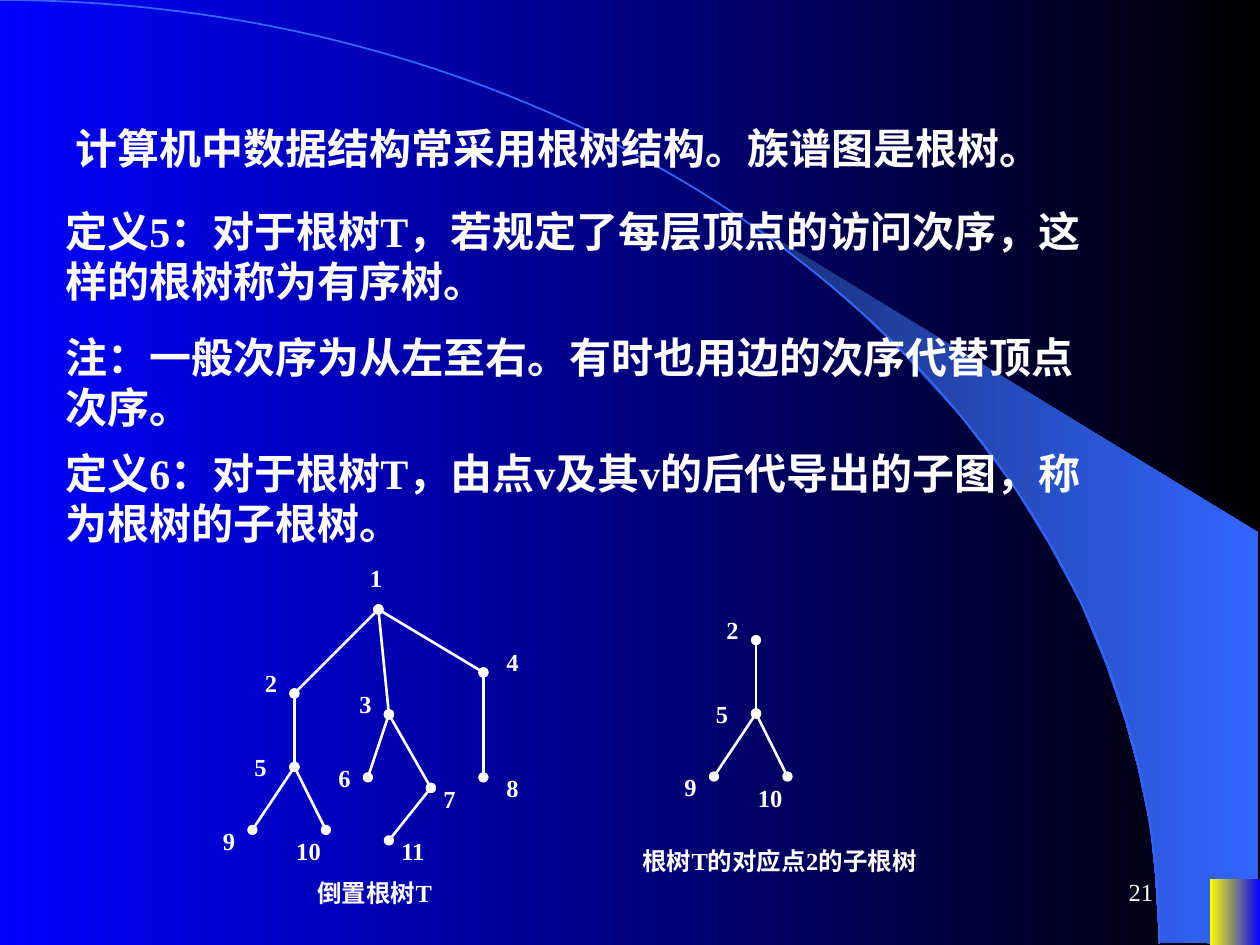
from math import cos, pi, sin

from lxml.etree import SubElement
from pptx import Presentation
from pptx.dml.color import RGBColor
from pptx.enum.shapes import MSO_CONNECTOR as Connector, MSO_SHAPE as Shape
from pptx.enum.text import MSO_ANCHOR as Anchor, MSO_AUTO_SIZE as AutoSize, PP_ALIGN as Align
from pptx.oxml.ns import qn
from pptx.util import Inches, Pt

FONT = "Times New Roman"
WHITE = RGBColor(0xFF, 0xFF, 0xFF)
BLACK = RGBColor(0x00, 0x00, 0x00)
BLUE = RGBColor(0x00, 0x00, 0xFF)
YELLOW = RGBColor(0xFF, 0xFF, 0x00)
SKY = RGBColor(0x33, 0x66, 0xFF)
NAVY = RGBColor(0x18, 0x2F, 0x76)

STATEMENTS = [
    (0.5, 0.92, 0.5, "计算机中数据结构常采用根树结构。族谱图是根树。"),
    (0.42, 1.58, 0.9, "定义5：对于根树T，若规定了每层顶点的访问次序，这样的根树称为有序树。"),
    (0.42, 2.58, 0.9, "注：一般次序为从左至右。有时也用边的次序代替顶点次序。"),
    (0.42, 3.5, 0.9, "定义6：对于根树T，由点v及其v的后代导出的子图，称为根树的子根树。"),
]

# Trees are laid out on a grid of twelfths of an inch.
GRID = Inches(1) / 12
# Vertex: (dot column, dot row, label column, label row)
FULL_TREE = {
    1: (16, 5, 14, 0), 2: (8, 13, 4, 10), 3: (17, 15, 13, 12), 4: (26, 11, 27, 8),
    5: (8, 20, 3, 18), 6: (15, 21, 11, 19), 7: (21, 22, 21, 21), 8: (26, 21, 27, 20),
    9: (4, 26, 0, 25), 10: (11, 26, 7, 26), 11: (17, 27, 17, 26),
}
FULL_EDGES = [(1, 2), (1, 3), (1, 4), (2, 5), (5, 9), (5, 10), (3, 6), (3, 7), (7, 11), (4, 8)]
SUBTREE = {2: (12, 3, 8, 0), 5: (12, 10, 7, 8), 9: (8, 16, 4, 15), 10: (15, 16, 11, 16)}
SUBTREE_EDGES = [(2, 5), (5, 9), (5, 10)]

# Corners of the swoosh, in inches from its top left.
SWOOSH = [
    (3.31, 5.75), (4.1, 5.76), (4.1, 2.5), (0, 0), (0.35, 0.26), (0.64, 0.49),
    (0.96, 0.77), (1.27, 1.07), (1.73, 1.57), (2.14, 2.11), (2.43, 2.58), (2.69, 3.06),
    (2.89, 3.55), (3.04, 3.99), (3.14, 4.36), (3.24, 4.83), (3.28, 5.23),
]


def fill_gradient(fill, start, end):
    fill.gradient()
    fill.gradient_angle = 0
    for stop, color in zip(fill.gradient_stops, (start, end)):
        stop.color.rgb = color


def add_outline(slide, left, top, points, closed):
    """Add a freeform through points given in inches from left and top."""
    corners = [(Inches(x), Inches(y)) for x, y in points]
    builder = slide.shapes.build_freeform(*corners[0])
    builder.add_line_segments(corners[1:], close=closed)
    shape = builder.convert_to_shape(left, top)
    shape.shadow.inherit = False
    return shape


def add_swoosh(slide, left, top):
    swoosh = add_outline(slide, left, top, SWOOSH, closed=True)
    fill_gradient(swoosh.fill, NAVY, SKY)
    swoosh.line.fill.background()


def add_quarter_ellipse(slide, left, top, width, height, steps=90):
    angles = [pi / 2 * step / steps for step in range(steps + 1)]
    points = [(width.inches * sin(a), height.inches * (1 - cos(a))) for a in angles]
    arc = add_outline(slide, left, top, points, closed=False)
    arc.fill.background()
    arc.line.color.rgb = SKY
    arc.line.width = Pt(1)


def add_corner_block(slide, left, top, width, height):
    block = slide.shapes.add_shape(Shape.RECTANGLE, left, top, width, height)
    block.shadow.inherit = False
    block.line.fill.background()
    fill_gradient(block.fill, YELLOW, BLUE)


def add_text(shapes, left, top, width, height, text, size=14, bold=True):
    box = shapes.add_textbox(int(left), int(top), int(width), int(height))
    frame = box.text_frame
    frame.word_wrap = True
    frame.auto_size = AutoSize.SHAPE_TO_FIT_TEXT
    paragraph = frame.paragraphs[0]
    paragraph.text = text
    font = paragraph.font
    font.name, font.size, font.bold = FONT, Pt(size), bold
    font.color.rgb = WHITE
    return frame


def add_page_number(slide, left, top, width, height, number):
    frame = add_text(slide.shapes, left, top, width, height, number, bold=False)
    frame.auto_size = AutoSize.NONE
    frame.vertical_anchor = Anchor.MIDDLE
    frame.paragraphs[0].alignment = Align.RIGHT


def add_edge(shapes, start, end):
    """Add a line with a dot at each end."""
    edge = shapes.add_connector(Connector.STRAIGHT, *map(int, start + end))
    edge.line.color.rgb = WHITE
    edge.line.width = Pt(1.5)
    properties = edge._element.spPr
    line = properties.find(qn("a:ln"))
    for end_name in ("a:headEnd", "a:tailEnd"):
        SubElement(line, qn(end_name), type="oval")
    SubElement(properties, qn("a:effectLst"))


def add_tree(slide, left, top, vertices, edges, caption, caption_cell, caption_width):
    shapes = slide.shapes.add_group_shape().shapes

    def at(column, row):
        return left + column * GRID, top + row * GRID

    for parent, child in edges:
        add_edge(shapes, at(*vertices[parent][:2]), at(*vertices[child][:2]))
    for vertex, cell in vertices.items():
        width = GRID * (4 if vertex < 10 else 6)
        add_text(shapes, *at(*cell[2:]), width, Inches(0.34), str(vertex))
    add_text(shapes, *at(*caption_cell), caption_width, Inches(0.34), caption)


def main():
    presentation = Presentation()
    presentation.slide_width, presentation.slide_height = Inches(10), Inches(7.5)
    slide = presentation.slides.add_slide(presentation.slide_layouts[6])
    fill_gradient(slide.background.fill, BLUE, BLACK)
    add_swoosh(slide, Inches(5.89), Inches(1.73))
    add_quarter_ellipse(slide, Inches(0), Inches(0), Inches(9.2), Inches(7.49))
    add_corner_block(slide, Inches(9.6), Inches(6.98), Inches(0.4), Inches(0.52))
    add_page_number(slide, Inches(7.17), Inches(6.83), Inches(2.08), Inches(0.5), "21")
    for left, top, height, text in STATEMENTS:
        add_text(slide.shapes, Inches(left), Inches(top), Inches(8.42), Inches(height), text, size=24)
    add_tree(slide, Inches(1.67), Inches(4.42), FULL_TREE, FULL_EDGES,
             "倒置根树T", (9, 30), Inches(1.35))
    add_tree(slide, Inches(5), Inches(4.83), SUBTREE, SUBTREE_EDGES,
             "根树T的对应点2的子根树", (0, 22), Inches(2.75))
    presentation.save("out.pptx")


if __name__ == "__main__":
    main()
